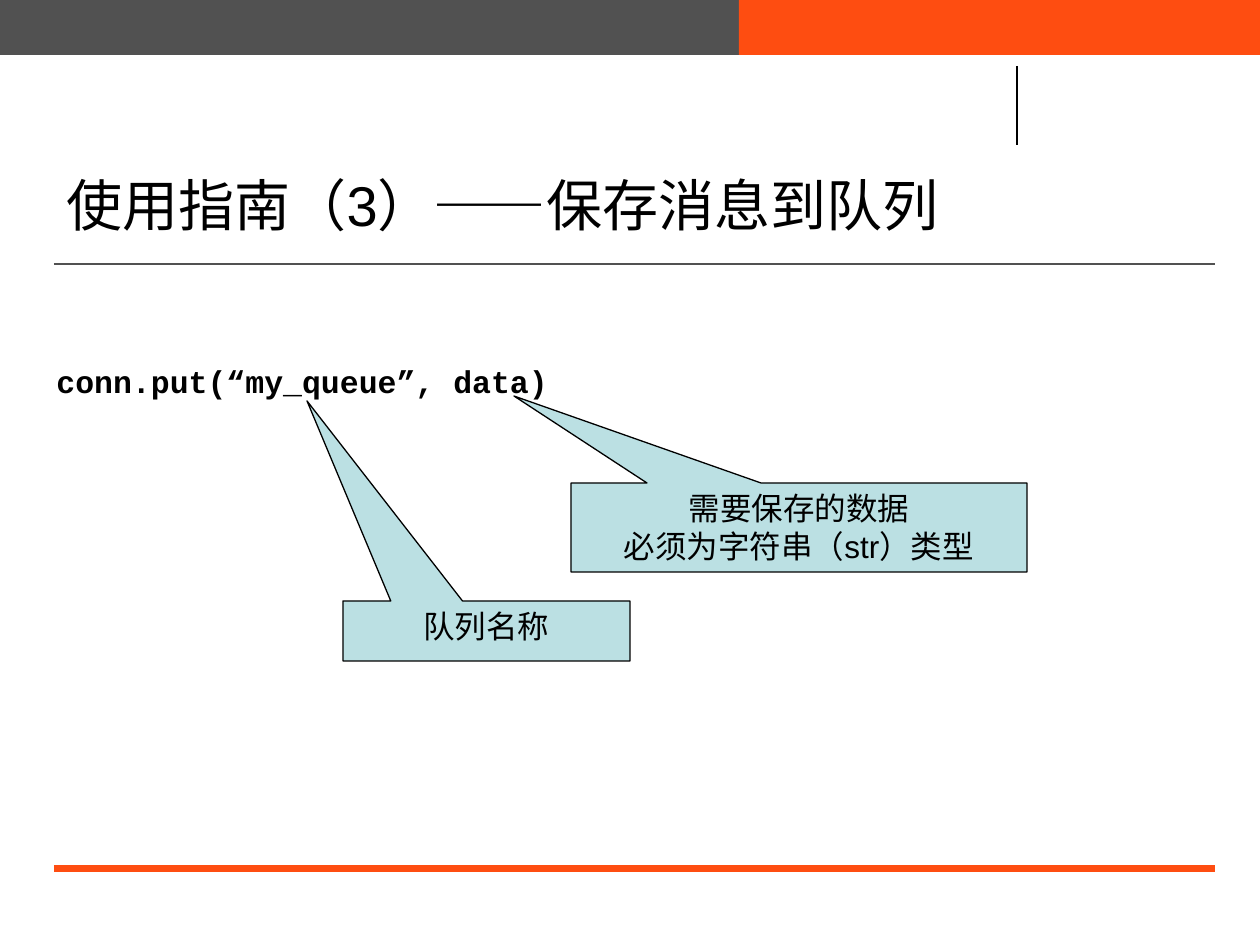
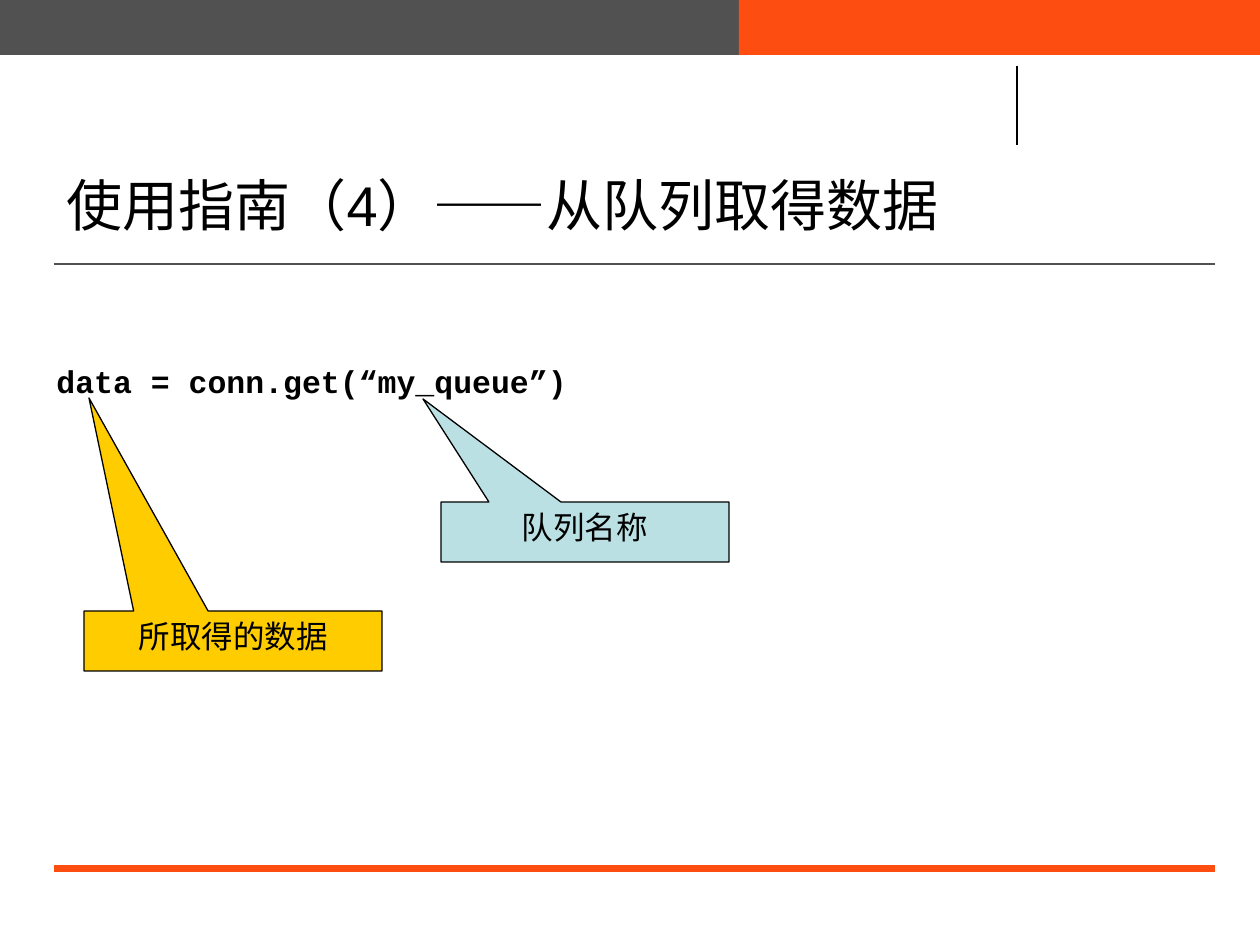
from lxml import etree
from pptx import Presentation
from pptx.dml.color import RGBColor
from pptx.enum.shapes import MSO_CONNECTOR, MSO_SHAPE
from pptx.enum.text import MSO_ANCHOR as ANCHOR, PP_ALIGN as ALIGN
from pptx.oxml.ns import qn
from pptx.util import Pt

PX = 914400 / 126
BLACK = RGBColor(0x00, 0x00, 0x00)
GREY = RGBColor(0x51, 0x51, 0x51)
ORANGE = RGBColor(0xFE, 0x4D, 0x11)
TEAL = RGBColor(0xBB, 0xE0, 0xE3)
YELLOW = RGBColor(0xFF, 0xCC, 0x00)

# left, top, width, height, fill
BANDS = [(0, 0, 858, 55, GREY), (739, 0, 521, 55, ORANGE)]
# x1, y1, x2, y2, colour, points
RULES = [
    (54, 264, 1215, 264, GREY, 1),
    (54, 869, 1215, 869, ORANGE, 4),
    (1017, 66, 1017, 145, BLACK, 0.75),
]
# title, code, callouts as (box, tip, fill, lines)
SLIDES = [
    ("使用指南（3）——保存消息到队列", "conn.put(“my_queue”, data)", [
        ((571, 483, 456, 89), (514, 396), TEAL,
         ["需要保存的数据", "必须为字符串（str）类型"]),
        ((343, 601, 287, 60), (307, 401), TEAL, ["队列名称"]),
    ]),
    ("使用指南（4）——从队列取得数据", "data = conn.get(“my_queue”)", [
        ((84, 611, 298, 60), (89, 398), YELLOW, ["所取得的数据"]),
        ((441, 502, 288, 60), (423, 399), TEAL, ["队列名称"]),
    ]),
]


def emu(*lengths):
    return [round(n * PX) for n in lengths]


def write(sp, lines, size=18, font="Arial", bold=False,
          align=ALIGN.LEFT, anchor=ANCHOR.TOP):
    tf = sp.text_frame
    tf.word_wrap = True
    tf.vertical_anchor = anchor
    for i, line in enumerate(lines):
        p = tf.add_paragraph() if i else tf.paragraphs[0]
        p.alignment = align
        r = p.add_run()
        r.text = line
        r.font.size = Pt(size)
        r.font.name = font
        r.font.bold = bold
        r.font.color.rgb = BLACK


prs = Presentation()
prs.slide_width, prs.slide_height = emu(1260, 945)

for title, code, callouts in SLIDES:
    s = prs.slides.add_slide(prs.slide_layouts[6])

    for *box, fill in BANDS:
        band = s.shapes.add_shape(MSO_SHAPE.RECTANGLE, *emu(*box))
        band.shadow.inherit = False
        band.fill.solid()
        band.fill.fore_color.rgb = fill
        band.line.fill.background()

    for *ends, colour, points in RULES:
        rule = s.shapes.add_connector(MSO_CONNECTOR.STRAIGHT, *emu(*ends))
        rule.line.color.rgb = colour
        rule.line.width = Pt(points)
        etree.SubElement(rule._element.spPr, qn("a:effectLst"))

    write(s.shapes.add_textbox(*emu(54, 164, 1134, 81)), [title],
          size=32, anchor=ANCHOR.MIDDLE)
    write(s.shapes.add_textbox(*emu(44, 356, 1160, 48)), [code],
          font="Courier New", bold=True)

    for box, (tip_x, tip_y), fill, lines in callouts:
        left, top, width, height = box
        sp = s.shapes.add_shape(MSO_SHAPE.RECTANGULAR_CALLOUT, *emu(*box))
        sp.adjustments[0] = (tip_x - left) / width - 0.5
        sp.adjustments[1] = (tip_y - top) / height - 0.5
        sp.shadow.inherit = False
        sp.fill.solid()
        sp.fill.fore_color.rgb = fill
        sp.line.color.rgb = BLACK
        sp.line.width = Pt(0.75)
        write(sp, lines, align=ALIGN.CENTER)

prs.save("out.pptx")
